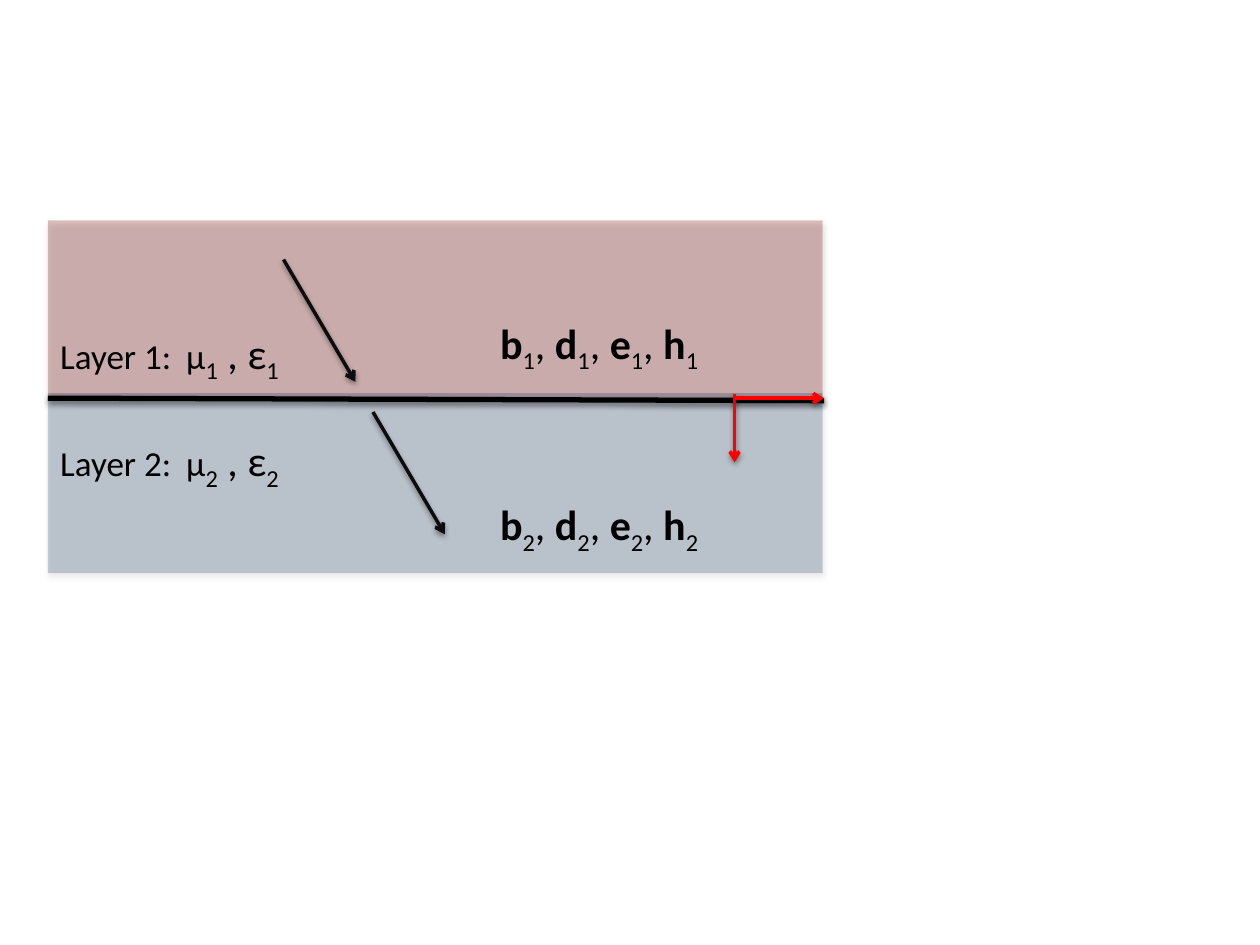
from dataclasses import dataclass

from lxml import etree
from pptx import Presentation
from pptx.dml.color import RGBColor
from pptx.enum.shapes import MSO_CONNECTOR, MSO_SHAPE
from pptx.oxml.ns import qn
from pptx.util import Inches, Pt

RECT = MSO_SHAPE.RECTANGLE
STRAIGHT = MSO_CONNECTOR.STRAIGHT


@dataclass
class Theme:
    font: str = "Calibri"
    black: str = "000000"
    dark: str = "0D0D0D"
    red: str = "FF0000"
    rose: str = "953735"
    blue: str = "17375E"
    small: int = 20
    large: int = 24


def node(parent, tag, **attrs):
    """Add a drawing element with the given attributes."""
    item = etree.SubElement(parent, qn(tag))
    for key, value in attrs.items():
        item.set(key, str(value))
    return item


def write(para, text, font, color, size, bold=False, sub=False):
    """Add one run of text in the given format."""
    run = para.add_run()
    run.text = text
    run.font.name = font
    run.font.size = Pt(size)
    run.font.bold = bold
    run.font.color.rgb = RGBColor.from_string(color)
    if sub:
        run.font._element.set("baseline", "-25000")


class Deck:
    def __init__(self, theme):
        self.theme = theme
        self.show = Presentation()
        self.show.slide_width = Inches(10)
        self.show.slide_height = Inches(7.5)
        self.slide = self.show.slides.add_slide(self.show.slide_layouts[6])

    def shade(self, shape, alpha, dist):
        """Give a shape a soft shadow that falls straight down."""
        effect = node(shape._element.spPr, "a:effectLst")
        cast = node(effect, "a:outerShdw", blurRad=Pt(3.1), dist=Pt(dist),
                    dir=90 * 60000, rotWithShape=0)
        tint = node(cast, "a:srgbClr", val=self.theme.black)
        node(tint, "a:alpha", val=alpha * 1000)

    def band(self, left, top, width, height, color, alpha):
        box = self.slide.shapes.add_shape(
            RECT, Inches(left), Inches(top), Inches(width), Inches(height))
        box.fill.solid()
        box.fill.fore_color.rgb = RGBColor.from_string(color)
        tint = box._element.spPr.find(qn("a:solidFill"))[0]
        node(tint, "a:alpha", val=alpha * 1000)
        box.line.fill.background()
        self.shade(box, 35, 1.8)

    def line(self, start, end, color, width=2, arrow=True, group=None):
        home = group or self.slide
        link = home.shapes.add_connector(
            STRAIGHT, *[Inches(n) for n in (*start, *end)])
        link.line.color.rgb = RGBColor.from_string(color)
        link.line.width = Pt(width)
        if arrow:
            node(link.line._get_or_add_ln(), "a:tailEnd", type="arrow")
        self.shade(link, 38, 1.6)

    def label(self, left, top, width, runs, tab=None):
        """Place a line of text from (text, format) pairs."""
        box = self.slide.shapes.add_textbox(
            Inches(left), Inches(top), Inches(width), Inches(0.5))
        box.text_frame.word_wrap = True
        para = box.text_frame.paragraphs[0]
        if tab:
            stops = node(para._p.get_or_add_pPr(), "a:tabLst")
            node(stops, "a:tab", pos=Inches(tab), algn="l")
        look = {"font": self.theme.font, "color": self.theme.black,
                "size": self.theme.large}
        for text, form in runs:
            write(para, text, **{**look, **form})


def main():
    theme = Theme()
    deck = Deck(theme)
    left, width = 0.38, 6.15
    right = 6.54
    sub, bold = {"sub": True}, {"bold": True}

    # Two layers and their boundary
    deck.band(left, 1.75, width, 1.43, theme.rose, 32)
    deck.band(left, 3.12, width, 1.43, theme.blue, 23)
    deck.line((left, 3.16), (right, 3.18), theme.black, 3, arrow=False)

    # Ray above and below the boundary
    for x, y in ((2.25, 2.06), (2.96, 3.27)):
        deck.line((x, y), (x + 0.57, y + 0.97), theme.dark)

    # Material and field labels of each layer
    for num, low, high in (("1", 2.55, 2.47), ("2", 3.4, 3.91)):
        matter = [(f"Layer {num}:\tμ", {"size": theme.small}), (num, sub),
                  (" , ε", {}), (num, sub)]
        deck.label(left, low, 2, matter, tab=1)

        fields = []
        for name in "bdeh":
            if fields:
                fields.append((", ", {}))
            fields += [(name, bold), (num, sub)]
        deck.label(3.87, high, 1.85, fields)

    # Axes at the boundary
    axes = deck.slide.shapes.add_group_shape()
    deck.line((5.83, 3.13), (5.83, 3.67), theme.red, group=axes)
    deck.line((5.83, 3.16), (right, 3.16), theme.red, group=axes)

    deck.show.save("out.pptx")


if __name__ == "__main__":
    main()
